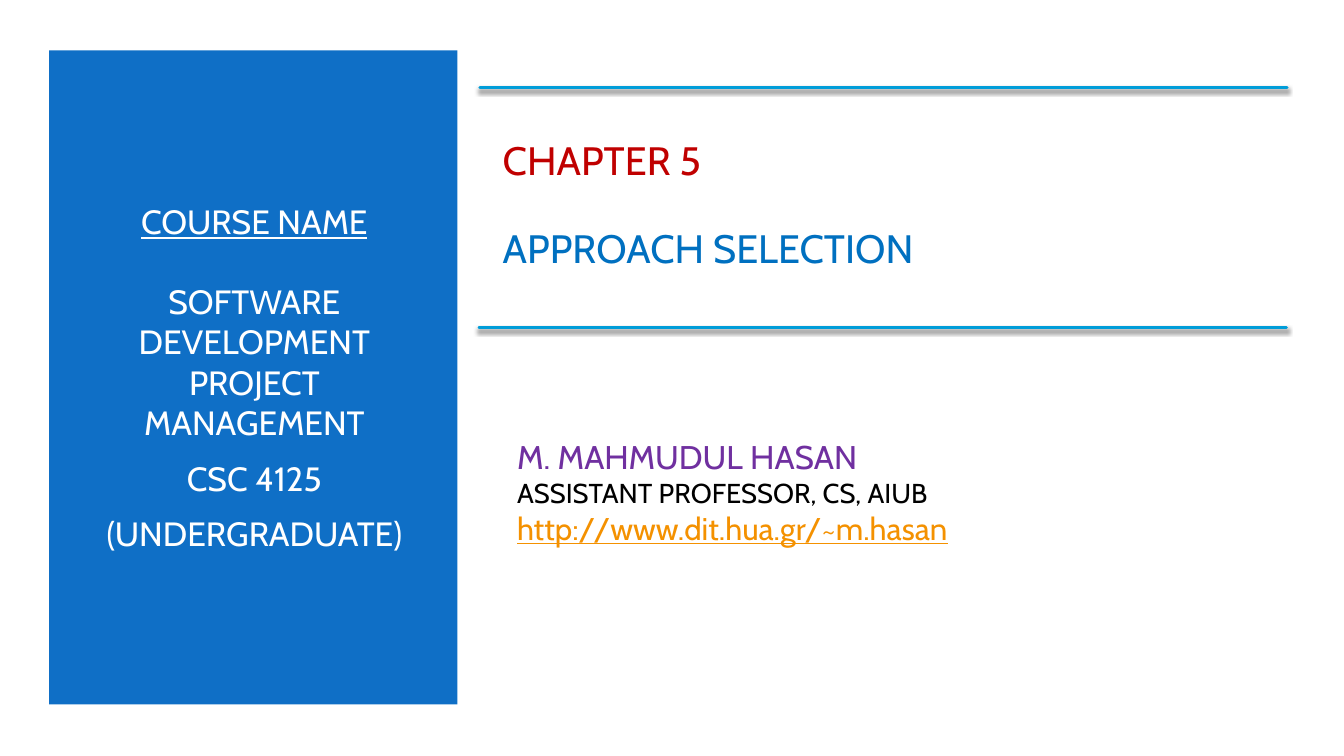
"""Builds the title slide of a course chapter."""
from lxml import etree
from pptx import Presentation
from pptx.dml.color import RGBColor
from pptx.enum.shapes import MSO_CONNECTOR as Connector, MSO_SHAPE as Shape
from pptx.enum.text import MSO_ANCHOR as Anchor, PP_ALIGN as Align
from pptx.oxml import parse_xml
from pptx.oxml.ns import qn
from pptx.util import Cm, Pt


def color(value):
    return RGBColor.from_string(value)


def add_text(left, top, width, height, align, lines):
    box = page.shapes.add_textbox(Cm(left), Cm(top), Cm(width), Cm(height))
    frame = box.text_frame
    frame.word_wrap = True
    frame.vertical_anchor = Anchor.MIDDLE
    frame.text = "\n".join(line[0] for line in lines)
    for para, (_, size, fill, underline, before) in zip(frame.paragraphs, lines):
        para.alignment = align
        para.space_before = Pt(before)
        span = para.runs[0]
        span.font.name = "Cabin"
        span.font.size = Pt(size)
        span.font.underline = underline
        span.font.color.rgb = color(fill)


SHADOW = """<a:effectLst xmlns:a="http://schemas.openxmlformats.org/drawingml/2006/main">
<a:outerShdw blurRad="38100" dist="25400" dir="5400000" rotWithShape="0">
<a:srgbClr val="000000"><a:alpha val="55000"/></a:srgbClr></a:outerShdw></a:effectLst>"""

deck = Presentation()
deck.slide_width = Cm(33.87)
deck.slide_height = Cm(19.05)
page = deck.slides.add_slide(deck.slide_layouts[6])

panels = [
    (0, 0, 33.87, 19.05, "FFFFFF"),
    (1.24, 1.27, 10.29, 16.48, "0F6FC6"),
]
for left, top, width, height, fill in panels:
    panel = page.shapes.add_shape(Shape.RECTANGLE, Cm(left), Cm(top), Cm(width), Cm(height))
    panel.shadow.inherit = False
    panel.fill.solid()
    panel.fill.fore_color.rgb = color(fill)
    panel.line.fill.background()

add_text(2.13, 2.84, 8.56, 13.34, Align.CENTER, [
    ("COURSE NAME", 24, "FFFFFF", True, 0),
    ("SOFTWARE DEVELOPMENT PROJECT MANAGEMENT", 24, "FFFFFF", False, 28),
    ("CSC 4125", 24, "FFFFFF", False, 11),
    ("(UNDERGRADUATE)", 24, "FFFFFF", False, 11),
])
add_text(12.42, 2.79, 19.94, 4.67, Align.LEFT, [
    ("CHAPTER 5", 28.3, "C00000", False, 0),
    ("APPROACH SELECTION", 28.3, "0070C0", False, 29),
])
add_text(12.78, 10.41, 16.92, 3.96, Align.LEFT, [
    ("M. MAHMUDUL HASAN", 23.4, "7030A0", False, 0),
    ("ASSISTANT PROFESSOR, CS, AIUB", 19.5, "000000", False, 0),
    ("http://www.dit.hua.gr/~m.hasan", 22.4, "F49100", True, 0),
])

for left, top in [(12.09, 2.21), (12.07, 8.26)]:
    rule = page.shapes.add_connector(
        Connector.STRAIGHT, Cm(left), Cm(top), Cm(left + 20.35), Cm(top))
    rule.line.width = Pt(2)
    rule.line.color.rgb = color("009DD9")
    outline = rule.line._get_or_add_ln()
    outline.set("cap", "rnd")
    etree.SubElement(outline, qn("a:round"))
    rule._element.spPr.append(parse_xml(SHADOW))

deck.save("out.pptx")
